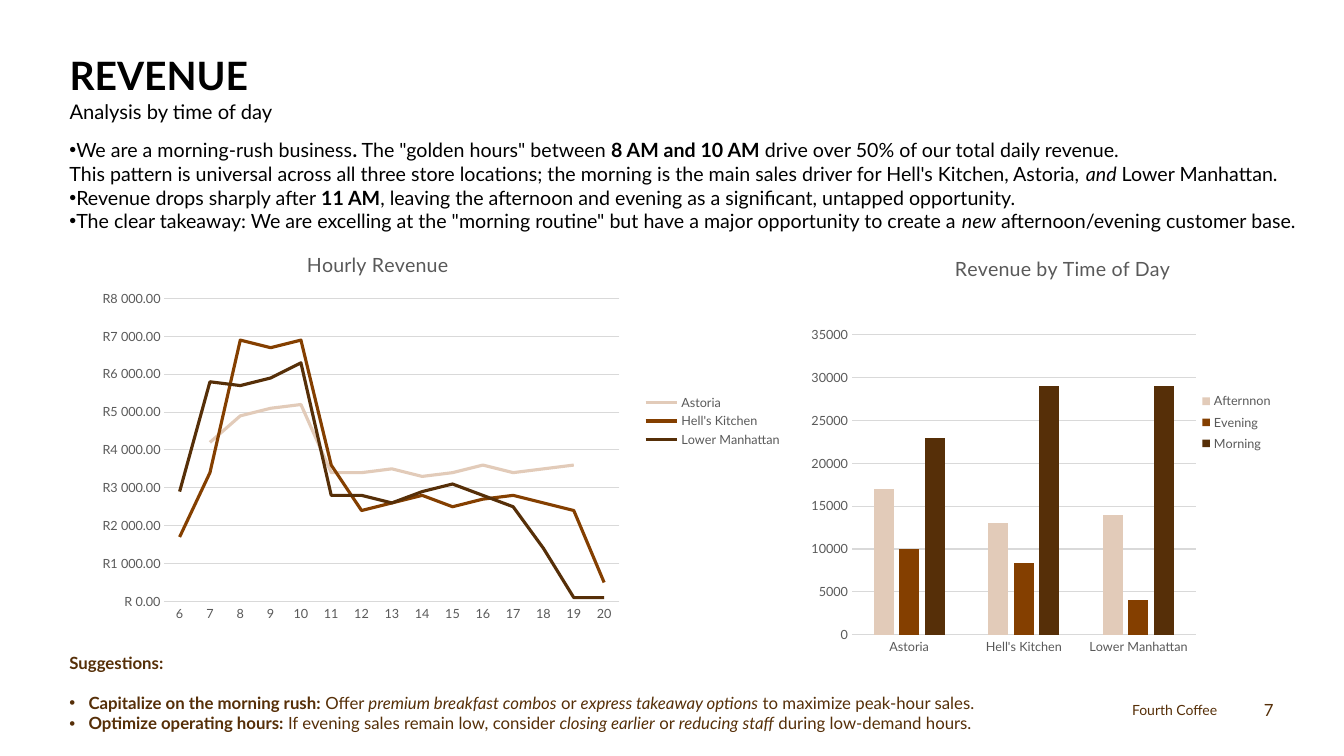
"""Build the revenue by time of day slide with two charts."""
import copy

import pptx
import pptx.chart.data
import pptx.dml.color
import pptx.enum.chart
import pptx.enum.text
import pptx.oxml
import pptx.util
from pptx.util import Inches

FONT, BLACK, GREY, GRID = "Lato", "000000", "595959", "D9D9D9"
SAND, RUST, COFFEE = "E2CBB9", "843F00", "562F08"
NS = 'xmlns:c="http://schemas.openxmlformats.org/drawingml/2006/chart" ' \
     'xmlns:a="http://schemas.openxmlformats.org/drawingml/2006/main"'

FINDINGS = [
    ("•", [("We are a morning-rush business", ""), (".", "b"),
           (' The "golden hours" between ', ""), ("8 AM and 10 AM", "b"),
           (" drive over 50% of our total daily revenue.", "")]),
    ("", [("This pattern is universal across all three store locations; the morning is the "
           "main sales driver for Hell's Kitchen, Astoria, ", ""), ("and", "i"),
          (" Lower Manhattan.", "")]),
    ("•", [("Revenue drops sharply after ", ""), ("11 AM", "b"),
           (", leaving the afternoon and evening as a significant, untapped opportunity.", "")]),
    ("•", [('The clear takeaway: We are excelling at the "morning routine" but have a major '
            "opportunity to create a ", ""), ("new", "i"),
           (" afternoon/evening customer base.", "")]),
]
SUGGESTIONS = [
    ("", [("Suggestions:", "b")]),
    ("•", [("Capitalize on the morning rush:", "b"), (" Offer ", ""),
           ("premium breakfast combos", "i"), (" or ", ""),
           ("express takeaway options", "i"), (" to maximize peak-hour sales.", "")]),
    ("•", [("Optimize operating hours:", "b"), (" If evening sales remain low, consider ", ""),
           ("closing earlier", "i"), (" or ", ""), ("reducing staff", "i"),
           (" during low-demand hours.", "")]),
]
HOURLY = {
    "title": "Hourly Revenue",
    "kind": pptx.enum.chart.XL_CHART_TYPE.LINE,
    "box": (0.86, 2.43, 11.87, 4.09),
    "categories": [str(hour) for hour in range(6, 21)],
    "series": [
        ("Astoria", SAND, [None, 4200, 4900, 5100, 5200, 3400, 3400, 3500, 3300, 3400,
                           3600, 3400, 3500, 3600, None]),
        ("Hell's Kitchen", RUST, [1700, 3400, 6900, 6700, 6900, 3600, 2400, 2600, 2800, 2500,
                                  2700, 2800, 2600, 2400, 500]),
        ("Lower Manhattan", COFFEE, [2900, 5800, 5700, 5900, 6300, 2800, 2800, 2600, 2900, 3100,
                                     2800, 2500, 1400, 100, 100]),
    ],
    "top": 8000, "step": 1000, "format": '"R"#\\ ##0.00',
    "plot_at": (0.065, 0.13, 0.38, 0.735),
    "title_at": (0.181, 0.005),
    "legend_at": (0.463, 0.357, 0.12, 0.14),
}
DAYPARTS = {
    "title": "Revenue by Time of Day",
    "kind": pptx.enum.chart.XL_CHART_TYPE.COLUMN_CLUSTERED,
    "box": (7.73, 2.47, 5, 4.12),
    "categories": ["Astoria", "Hell's Kitchen", "Lower Manhattan"],
    "series": [
        ("Afternnon", SAND, [17000, 13000, 14000]),
        ("Evening", RUST, [10000, 8400, 4100]),
        ("Morning", COFFEE, [23000, 29000, 29000]),
    ],
    "top": 35000, "step": 5000, "format": "General",
    "plot_at": (0.144, 0.207, 0.682, 0.722),
    "title_at": (0.341, 0.003),
    "legend_at": (0.827, 0.335, 0.16, 0.165),
}


def rgb(value):
    return pptx.dml.color.RGBColor.from_string(value)


def style_font(font, size, color, bold=False, italic=False):
    font.name, font.size = FONT, pptx.util.Pt(size)
    font.bold, font.italic = bold, italic
    font.color.rgb = rgb(color)


def write(paragraph, text, size=14, color=BLACK, bold=False, italic=False):
    run = paragraph.add_run()
    run.text = text
    style_font(run.font, size, color, bold, italic)
    return run


def add_text(slide, box, lines, size, color, align=pptx.enum.text.PP_ALIGN.LEFT, hang=0):
    frame = slide.shapes.add_textbox(*map(Inches, box)).text_frame
    frame.word_wrap = True
    frame.vertical_anchor = pptx.enum.text.MSO_ANCHOR.MIDDLE
    for index, (bullet, runs) in enumerate(lines):
        paragraph = frame.add_paragraph() if index else frame.paragraphs[0]
        paragraph.alignment = align
        if bullet:
            properties = paragraph._p.get_or_add_pPr()
            properties.set("marL", str(Inches(hang)))
            properties.set("indent", str(-Inches(hang)))
            properties.append(pptx.oxml.parse_xml(f'<a:buFont {NS} typeface="Arial"/>'))
            properties.append(pptx.oxml.parse_xml(f'<a:buChar {NS} char="{bullet}"/>'))
        for text, style in runs:
            write(paragraph, text, size, color, "b" in style, "i" in style)
    return frame


def place(part, index, fractions, inner=False):
    for old in part.findall(pptx.oxml.ns.qn("c:layout")):
        part.remove(old)
    target = '<c:layoutTarget val="inner"/>' if inner else ""
    modes = '<c:xMode val="edge"/><c:yMode val="edge"/>'
    sizes = "".join(f'<c:{tag} val="{value}"/>' for tag, value in zip("xywh", fractions))
    part.insert(index, pptx.oxml.parse_xml(
        f"<c:layout {NS}><c:manualLayout>{target}{modes}{sizes}</c:manualLayout></c:layout>"))


def add_revenue_chart(slide, content):
    data = pptx.chart.data.CategoryChartData(number_format=content["format"])
    data.categories = content["categories"]
    for name, _, values in content["series"]:
        data.add_series(name, values)
    chart = slide.shapes.add_chart(content["kind"], *map(Inches, content["box"]), data).chart
    style_font(chart.font, 10, BLACK)
    chart._chartSpace.chart.addnext(pptx.oxml.parse_xml(
        f"<c:spPr {NS}><a:noFill/><a:ln><a:noFill/></a:ln></c:spPr>"))

    chart.has_title = True
    write(chart.chart_title.text_frame.paragraphs[0], content["title"], 14, GREY)
    chart.chart_title.include_in_layout = False
    place(chart.chart_title._element, 1, content["title_at"])
    chart.has_legend = True
    chart.legend.position = pptx.enum.chart.XL_LEGEND_POSITION.RIGHT
    chart.legend.include_in_layout = False
    style_font(chart.legend.font, 9, GREY)
    place(chart.legend._element, 1, content["legend_at"])
    place(chart._chartSpace.chart.plotArea, 0, content["plot_at"], inner=True)

    for axis in (chart.category_axis, chart.value_axis):
        axis.major_tick_mark = axis.minor_tick_mark = pptx.enum.chart.XL_TICK_MARK.NONE
        style_font(axis.tick_labels.font, 9, GREY)
    amounts = chart.value_axis
    amounts.minimum_scale, amounts.maximum_scale = 0, content["top"]
    amounts.major_unit = content["step"]
    amounts.tick_labels.number_format = content["format"]
    amounts.tick_labels.number_format_is_linked = False
    amounts.format.line.fill.background()
    for line in (chart.category_axis.format.line, amounts.major_gridlines.format.line):
        line.color.rgb = rgb(GRID)
        line.width = pptx.util.Pt(0.75)

    plot = chart.plots[0]
    plot.vary_by_categories = False
    is_line = content["kind"] == pptx.enum.chart.XL_CHART_TYPE.LINE
    if not is_line:
        plot.gap_width, plot.overlap = 219, -27
    for series, (_, color, _) in zip(plot.series, content["series"]):
        if is_line:
            series.smooth = False
            series.marker.style = pptx.enum.chart.XL_MARKER_STYLE.NONE
            series.format.line.color.rgb = rgb(color)
            series.format.line.width = pptx.util.Pt(2.25)
        else:
            series.format.fill.solid()
            series.format.fill.fore_color.rgb = rgb(color)


def add_heading(slide):
    title = slide.shapes.title
    title.left, title.top, title.width, title.height = map(Inches, (0.59, 0.49, 11.26, 0.7))
    frame = title.text_frame
    frame.margin_top = frame.margin_bottom = 0
    frame.vertical_anchor = pptx.enum.text.MSO_ANCHOR.MIDDLE
    frame.auto_size = pptx.enum.text.MSO_AUTO_SIZE.NONE
    heading = frame.paragraphs[0]
    heading.alignment = pptx.enum.text.PP_ALIGN.LEFT
    write(heading, "REVENUE", 27.9, bold=True)
    space = write(heading, " ", 32.4, bold=True)
    heading.add_line_break()
    heading._p[-1].append(copy.deepcopy(space.font._element))
    write(heading, "Analysis by time of day", 14.4)


def main():
    deck = pptx.Presentation()
    deck.slide_width, deck.slide_height = Inches(13.33), Inches(7.5)
    slide = deck.slides.add_slide(deck.slide_layouts[5])
    add_heading(slide)
    add_text(slide, (11.13, 6.84, 1.17, 0.4), [("", [("Fourth Coffee", "")])], 10, COFFEE)
    add_text(slide, (9.73, 6.84, 3, 0.4), [("", [("7", "")])], 12, COFFEE,
             align=pptx.enum.text.PP_ALIGN.RIGHT)
    for content in (HOURLY, DAYPARTS):
        add_revenue_chart(slide, content)
    findings = add_text(slide, (0.59, 1.32, 12.49, 1.04), FINDINGS, 14, BLACK)
    findings.auto_size = pptx.enum.text.MSO_AUTO_SIZE.SHAPE_TO_FIT_TEXT
    suggestions = add_text(slide, (0.59, 6.25, 10.1, 1.25), SUGGESTIONS, 12, COFFEE, hang=0.19)
    suggestions.paragraphs[1].space_before = pptx.util.Pt(14.4)
    deck.save("out.pptx")


if __name__ == "__main__":
    main()
